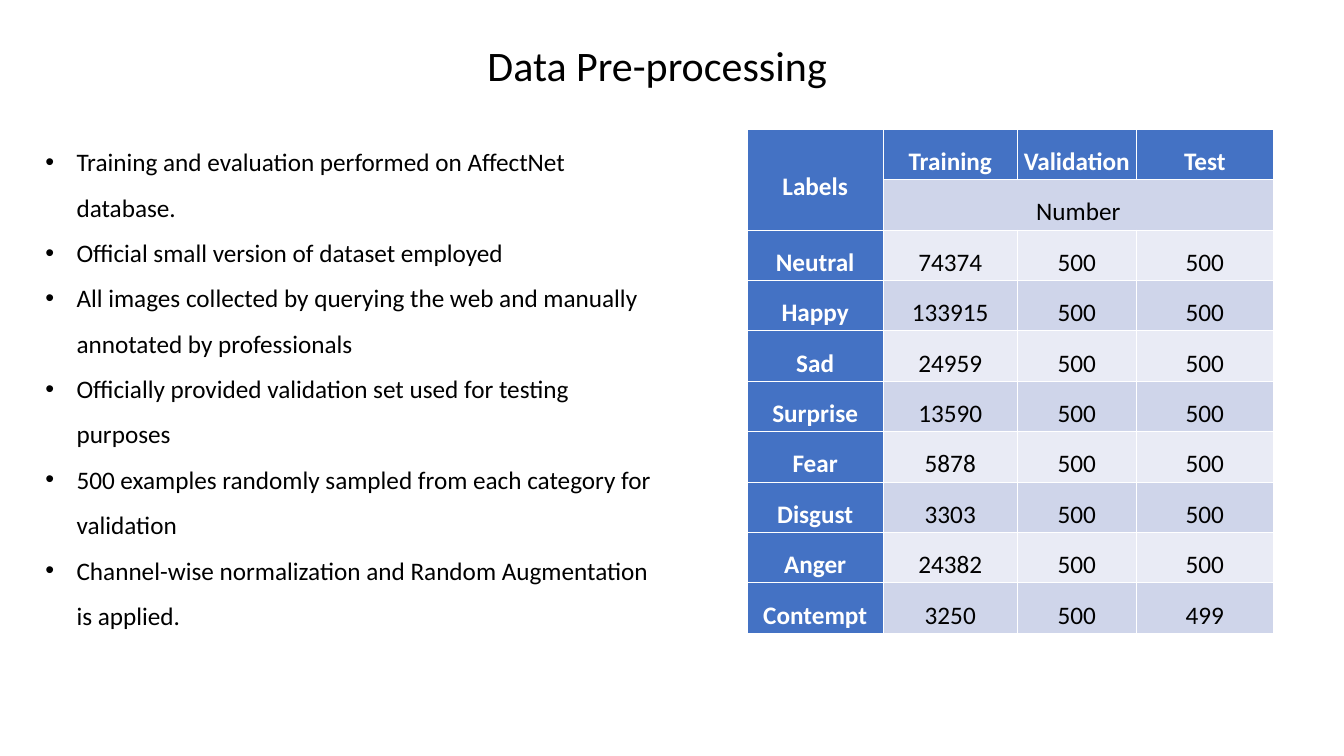
from lxml.etree import SubElement
from pptx import Presentation
from pptx.dml.color import RGBColor
from pptx.enum.text import MSO_ANCHOR as Anchor, PP_ALIGN as Align
from pptx.oxml.ns import qn
from pptx.util import Inches, Pt

FONT = "Calibri"
BODY_SIZE = 36
TITLE_SIZE = 60
COLORS = {
    "text": "000000",
    "header_text": "FFFFFF",
    "header": "4472C4",
    "dark_band": "CFD5EA",
    "light_band": "E9EBF5",
}

POINTS = [
    "Training and evaluation performed on AffectNet database.",
    "Official small version of dataset employed",
    "All images collected by querying the web and manually annotated by professionals",
    "Officially provided validation set used for testing purposes",
    "500 examples randomly sampled from each category for validation",
    "Channel-wise normalization and Random Augmentation is applied.",
]

COLUMN_WIDTHS = [2.7, 2.66, 2.36, 2.72]
ROW_HEIGHT = 1
ROWS = [
    ["Labels", "Training", "Validation", "Test"],
    ["", "Number", "", ""],
    ["Neutral", "74374", "500", "500"],
    ["Happy", "133915", "500", "500"],
    ["Sad", "24959", "500", "500"],
    ["Surprise", "13590", "500", "500"],
    ["Fear", "5878", "500", "500"],
    ["Disgust", "3303", "500", "500"],
    ["Anger", "24382", "500", "500"],
    ["Contempt", "3250", "500", "499"],
]


def color(name):
    return RGBColor.from_string(COLORS[name])


def style_font(para, size, color_name="text", bold=False):
    for span in para.runs:
        span.font.name = FONT
        span.font.size = Pt(size)
        span.font.bold = bold
        span.font.color.rgb = color(color_name)


def add_text_box(page, left, top, width, height):
    box = page.shapes.add_textbox(Inches(left), Inches(top), Inches(width), Inches(height))
    box.text_frame.word_wrap = True
    return box.text_frame


def add_title(page, text):
    frame = add_text_box(page, 9.57, 0.74, 9.18, 1.11)
    frame.text = text
    style_font(frame.paragraphs[0], TITLE_SIZE)


def set_bullet(para, indent):
    """Give the paragraph a round bullet with a hanging indent."""
    properties = para._p.get_or_add_pPr()
    properties.set("marL", str(Inches(indent)))
    properties.set("indent", str(-Inches(indent)))
    SubElement(properties, qn("a:buFont"), typeface="Arial")
    SubElement(properties, qn("a:buChar"), char="•")


def add_bullet_list(page, points):
    frame = add_text_box(page, 0.8, 2.56, 12.53, 10)
    frame.text = "\n".join(points)
    for para in frame.paragraphs:
        set_bullet(para, 0.62)
        para.line_spacing = 1.5
        style_font(para, BODY_SIZE)


def fill_cell(cell, text, fill_name, is_header):
    cell.fill.solid()
    cell.fill.fore_color.rgb = color(fill_name)
    cell.vertical_anchor = Anchor.MIDDLE
    cell.margin_left = cell.margin_right = Inches(0.07)
    cell.margin_top = cell.margin_bottom = 0
    cell.text = text
    para = cell.text_frame.paragraphs[0]
    para.alignment = Align.CENTER
    para.line_spacing = 1.5
    para.space_after = Pt(8)
    style_font(para, BODY_SIZE, "header_text" if is_header else "text", is_header)


def add_label_table(page, rows):
    """Add the table; its default style draws the white cell borders."""
    frame = page.shapes.add_table(
        len(rows), len(COLUMN_WIDTHS), Inches(14.82), Inches(2.56),
        Inches(sum(COLUMN_WIDTHS)), Inches(ROW_HEIGHT * len(rows)))
    table = frame.table
    table.first_col = True
    for column, width in zip(table.columns, COLUMN_WIDTHS):
        column.width = Inches(width)
    for row_index, row in enumerate(rows):
        table.rows[row_index].height = Inches(ROW_HEIGHT)
        band = "dark_band" if row_index % 2 else "light_band"
        for column_index, text in enumerate(row):
            is_header = row_index == 0 or column_index == 0
            fill_cell(table.cell(row_index, column_index), text,
                      "header" if is_header else band, is_header)
    table.cell(0, 0).merge(table.cell(1, 0))
    table.cell(1, 1).merge(table.cell(1, 3))


def main():
    deck = Presentation()
    deck.slide_width = Inches(26.66)
    deck.slide_height = Inches(15)
    page = deck.slides.add_slide(deck.slide_layouts[6])
    add_bullet_list(page, POINTS)
    add_title(page, "Data Pre-processing")
    add_label_table(page, ROWS)
    deck.save("out.pptx")


if __name__ == "__main__":
    main()
